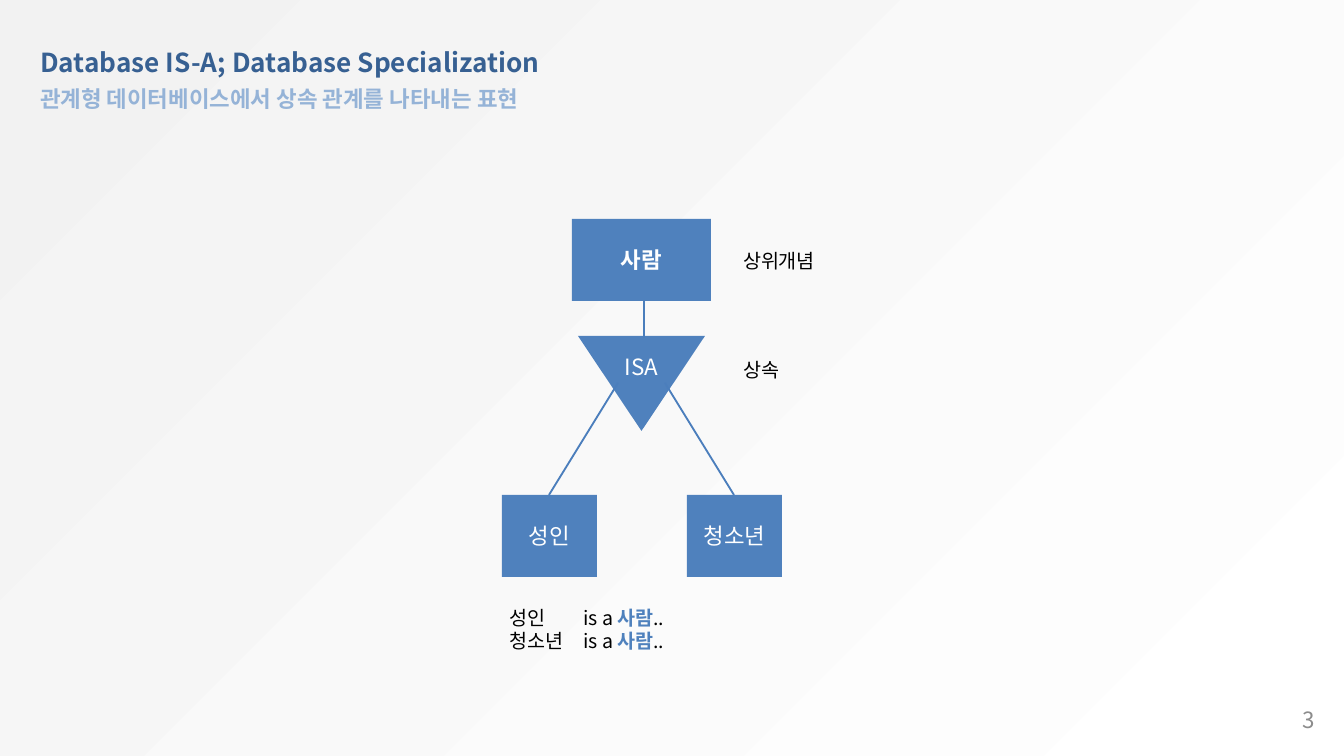
"""Build a slide on the IS-A relation between a database entity and its subtypes."""
from lxml.etree import SubElement
from pptx import Presentation
from pptx.dml.color import RGBColor
from pptx.enum.shapes import MSO_CONNECTOR as Connector, MSO_SHAPE as Shape
from pptx.enum.text import MSO_ANCHOR as Anchor, MSO_AUTO_SIZE as AutoSize, PP_ALIGN as Align
from pptx.oxml.ns import qn
from pptx.util import Pt

PX = 914400 / 134.4
FONT = "Noto Sans CJK KR"
BLUE, BLACK, WHITE = "4F81BD", "000000", "FFFFFF"


def px(*lengths):
    return [round(length * PX) for length in lengths]


def add_run(paragraph, text, size, color, bold=False):
    run = paragraph.add_run()
    run.text = text
    run.font.size, run.font.bold, run.font.name = Pt(size), bold, FONT
    run.font.color.rgb = RGBColor.from_string(color)
    SubElement(run.font._element, qn("a:ea"), typeface=FONT)


deck = Presentation()
deck.slide_width, deck.slide_height = px(1344, 756)
slide = deck.slides.add_slide(deck.slide_layouts[5])

backdrop = slide.background.fill
backdrop.gradient()
backdrop.gradient_angle = 315
for stop, color in zip(backdrop.gradient_stops, ["F2F2F2", WHITE]):
    stop.color.rgb = RGBColor.from_string(color)

heading = slide.shapes.title
heading.left, heading.top, heading.width, heading.height = px(27, 39, 695, 77)
heading_text = heading.text_frame
heading_text.word_wrap = True
heading_text.auto_size = AutoSize.NONE
heading_text.vertical_anchor = Anchor.TOP
heading_text.margin_left, heading_text.margin_top, heading_text.margin_right, heading_text.margin_bottom = px(13, 0, 13, 7)
for row, (text, size, color) in enumerate([
    ("Database IS-A; Database Specialization", 14, "376092"),
    ("관계형 데이터베이스에서 상속 관계를 나타내는 표현", 12, "95B3D7"),
]):
    paragraph = heading_text.add_paragraph() if row else heading_text.paragraphs[0]
    paragraph.alignment = Align.LEFT
    paragraph.line_spacing = 1.25
    paragraph.space_before = Pt(0)
    add_run(paragraph, text, size, color, True)

diagram = slide.shapes.add_group_shape().shapes

for kind, box, entity, bold in [
    (Shape.RECTANGLE, (572, 219, 139, 82), "사람", True),
    (Shape.ISOSCELES_TRIANGLE, (578, 336, 127, 95), "", False),
    (Shape.RECTANGLE, (502, 495, 95, 82), "성인", False),
    (Shape.RECTANGLE, (687, 495, 95, 82), "청소년", False),
]:
    node = diagram.add_shape(kind, *px(*box))
    node.shadow.inherit = False
    node.fill.solid()
    node.fill.fore_color.rgb = RGBColor.from_string(BLUE)
    node.line.fill.background()
    if entity:
        node.text_frame.vertical_anchor = Anchor.MIDDLE
        node.text_frame.paragraphs[0].alignment = Align.CENTER
        add_run(node.text_frame.paragraphs[0], entity, 12, WHITE, bold)
    else:
        node._element.spPr.xfrm.set("flipV", "1")

for ends in [(644, 301, 644, 338), (618, 383, 549, 495), (734, 495, 665, 383)]:
    link = diagram.add_connector(Connector.STRAIGHT, *px(*ends))
    link.line.color.rgb = RGBColor.from_string("4B7EBC")
    link.line.width = Pt(1)
    SubElement(link._element.spPr, qn("a:effectLst"))

for shapes, box, text, size, color, align, anchor in [
    (diagram, (594, 347, 95, 40), "ISA", 12, WHITE, Align.CENTER, Anchor.TOP),
    (diagram, (730, 242, 120, 38), "상위개념", 10.5, BLACK, Align.LEFT, Anchor.TOP),
    (diagram, (730, 351, 95, 38), "상속", 10.5, BLACK, Align.LEFT, Anchor.TOP),
    (slide.shapes, (1253, 700, 75, 40), "3", 12, "8C8C8C", Align.RIGHT, Anchor.MIDDLE),
]:
    label = shapes.add_textbox(*px(*box)).text_frame
    label.word_wrap = True
    label.vertical_anchor = anchor
    label.paragraphs[0].alignment = align
    add_run(label.paragraphs[0], text, size, color)

sentences = diagram.add_textbox(*px(496, 599, 239, 60)).text_frame
sentences.word_wrap = True
for row, subtype in enumerate(["성인", "청소년"]):
    paragraph = sentences.add_paragraph() if row else sentences.paragraphs[0]
    tabs = SubElement(paragraph._p.get_or_add_pPr(), qn("a:tabLst"))
    SubElement(tabs, qn("a:tab"), pos=str(px(74)[0]), algn="l")
    add_run(paragraph, f"{subtype}\tis a ", 10.5, BLACK)
    add_run(paragraph, "사람", 10.5, BLUE, True)
    add_run(paragraph, "..", 10.5, BLACK)

deck.save("out.pptx")
